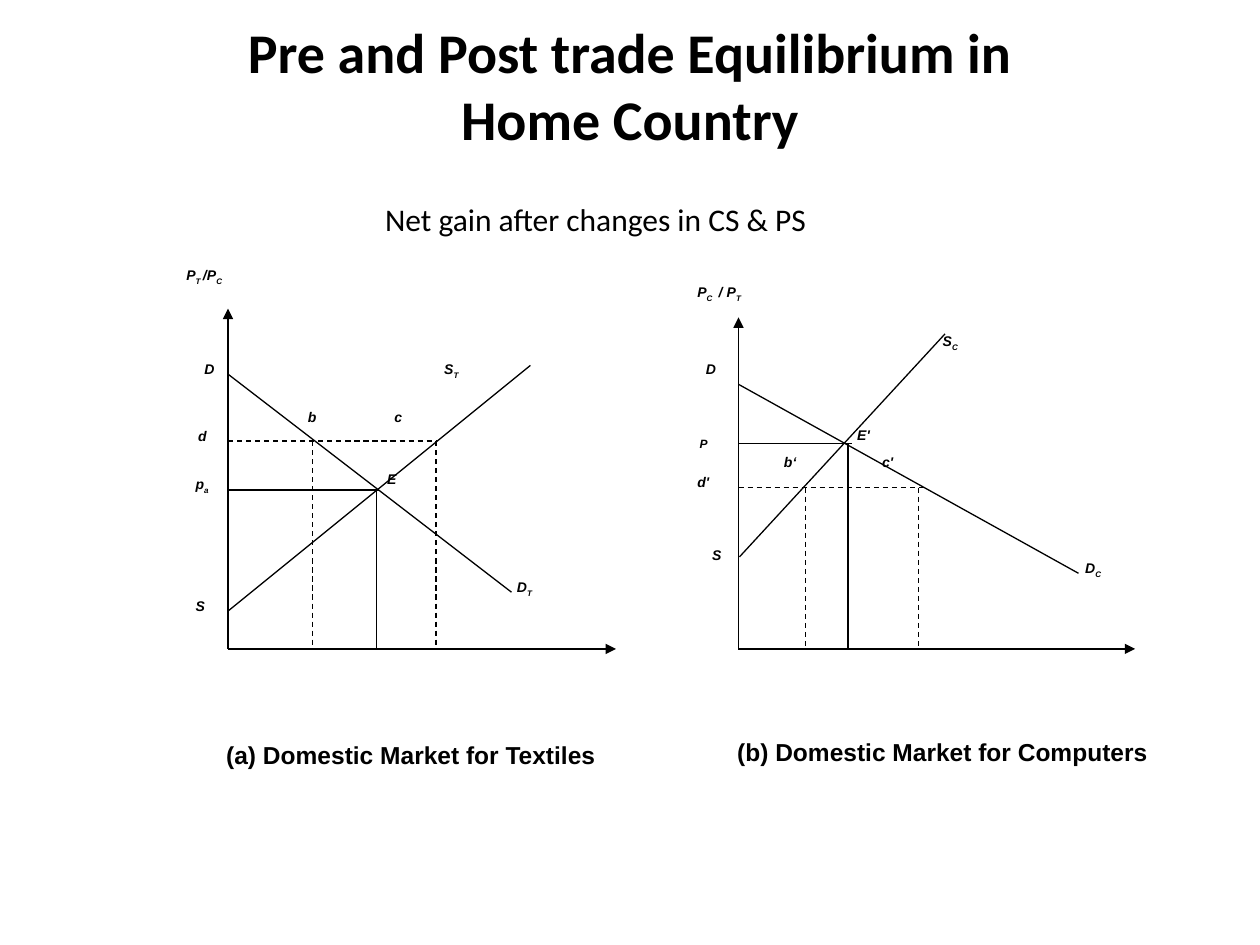
import dataclasses

import pptx
import pptx.dml.color
import pptx.enum.dml
import pptx.enum.shapes
import pptx.enum.text
import pptx.oxml.ns
import pptx.util
from lxml import etree

Pt = pptx.util.Pt


@dataclasses.dataclass(frozen=True)
class Theme:
    ink: pptx.dml.color.RGBColor = pptx.dml.color.RGBColor(0, 0, 0)
    heading_font: str = "Calibri"
    chart_font: str = "Arial"
    title: float = 32
    subtitle: float = 18
    caption: float = 14
    price: float = 12
    label: float = 8
    line: float = 0.75


THEME = Theme()


def add_xml(parent, tag, **attributes):
    return etree.SubElement(parent, pptx.oxml.ns.qn(tag), attributes)


def add_run(paragraph, text, size, font, bold=False, italic=False, subscript=False):
    run = paragraph.add_run()
    run.text = text
    run.font.size = Pt(size)
    run.font.name = font
    run.font.bold = bold
    run.font.italic = italic
    run.font.color.rgb = THEME.ink
    if subscript:
        run._r.get_or_add_rPr().set("baseline", "-30000")


def add_text_box(shapes, box, margins=(4.5, 2.25)):
    text_frame = shapes.add_textbox(*map(Pt, box)).text_frame
    text_frame.word_wrap = True
    text_frame.margin_left = text_frame.margin_right = Pt(margins[0])
    text_frame.margin_top = text_frame.margin_bottom = Pt(margins[1])
    return text_frame.paragraphs[0]


def add_label(shapes, box, parts, size=THEME.label, tab=None):
    """Parts alternate between normal text and subscript."""
    paragraph = add_text_box(shapes, box)
    if tab:
        tabs = add_xml(paragraph._p.get_or_add_pPr(), "a:tabLst")
        add_xml(tabs, "a:tab", pos=str(Pt(tab)), algn="l")
    for index, part in enumerate(parts):
        if part:
            add_run(paragraph, part, size, THEME.chart_font, True, True, index % 2 == 1)


def add_line(shapes, start, end, dashed=False, arrow=False):
    connector = shapes.add_connector(
        pptx.enum.shapes.MSO_CONNECTOR.STRAIGHT, *map(Pt, (*start, *end)))
    connector.line.color.rgb = THEME.ink
    connector.line.width = Pt(THEME.line)
    if dashed:
        connector.line.dash_style = pptx.enum.dml.MSO_LINE.DASH
    if arrow:
        add_xml(connector.line._get_or_add_ln(), "a:tailEnd", type="triangle")
    add_xml(connector._element.spPr, "a:effectLst")


def add_headings(slide, box):
    left, top, width, height = box
    # Title
    title = slide.shapes.title
    title.left, title.top, title.width, title.height = map(Pt, (left, top, width, height))
    title.text_frame.auto_size = pptx.enum.text.MSO_AUTO_SIZE.NONE
    paragraph = title.text_frame.paragraphs[0]
    paragraph.alignment = pptx.enum.text.PP_ALIGN.CENTER
    add_run(paragraph, "Pre and Post trade Equilibrium in Home Country",
            THEME.title, THEME.heading_font, bold=True)
    # Subtitle
    paragraph = add_text_box(
        slide.shapes, (left + 111, top + 105, 391, 29), margins=(7.2, 3.6))
    add_run(paragraph, "Net gain after changes in CS & PS",
            THEME.subtitle, THEME.heading_font)


def add_market(slide, box, market):
    left, top, width, height = box
    shapes = slide.shapes.add_group_shape().shapes

    def at(x, y):
        return left + x, top + y

    # Axes
    origin_x, origin_y = market["origin"]
    add_line(shapes, at(origin_x, origin_y), at(origin_x, market["axis_top"]), arrow=True)
    add_line(shapes, at(origin_x, origin_y), at(width, origin_y), arrow=True)

    # Supply and demand
    for start, end in market["curves"]:
        add_line(shapes, at(*start), at(*end))

    # Price levels and the quantities dropped from them
    for price, reach, quantities, dashed in market["levels"]:
        add_line(shapes, at(origin_x, price), at(reach, price), dashed)
        for quantity in quantities:
            add_line(shapes, at(quantity, price), at(quantity, origin_y), dashed)

    # Labels
    for x, y, label_width, label_height, parts, *options in market["labels"]:
        add_label(shapes, (*at(x, y), label_width, label_height), parts,
                  **(options[0] if options else {}))

    # Caption along the bottom
    paragraph = add_text_box(shapes, (*at(22.75, market["caption_top"]), 247, height - 270))
    add_run(paragraph, market["caption"], THEME.caption, THEME.chart_font, bold=True)


TEXTILES = {
    "caption": "(a) Domestic Market for Textiles",
    "caption_top": 270.5,
    "origin": (28.3, 220.8),
    "axis_top": 26.4,
    "curves": [((28.3, 199.2), (201.1, 58.8)), ((28.3, 63.8), (190.3, 188.4))],
    "levels": [(130, 114.7, [113.3], False), (102, 147.1, [76.6, 147.1], True)],
    "labels": [
        (0, 0, 55, 21, ("P", "T ", "/P", "C")),
        (10.3, 53.8, 209, 34, ("D\tS", "T"), {"tab": 137}),
        (69.4, 81.1, 84, 34, ("b\tc",), {"tab": 49.5}),
        (6.7, 91.9, 19, 21, ("d",)),
        (114.7, 116.4, 20, 21, ("E",)),
        (5.3, 119.3, 29, 22, ("p", "a")),
        (188.9, 178.3, 26, 34, ("D", "T")),
        (5.3, 189.1, 19, 20, ("S",)),
    ],
}

COMPUTERS = {
    "caption": "(b) Domestic Market for Computers",
    "caption_top": 269,
    "origin": (28, 220.8),
    "axis_top": 31.4,
    "curves": [((28, 69.6), (222.3, 177.6)), ((28.6, 168.2), (146, 40.8))],
    "levels": [(103.4, 92.7, [90.6], False), (128.6, 135.9, [66.1, 130.9], True)],
    "labels": [
        (0, 9.8, 55, 21, ("P", "C ", " / P", "T")),
        (140.2, 37.9, 28, 20, ("S", "C")),
        (4.9, 53.8, 22, 21, ("D",)),
        (1.3, 88.3, 23, 33, ("", "P"), {"size": THEME.price}),
        (91.3, 91.2, 23, 34, ("E'",)),
        (49.5, 107, 97, 34, ("b‘\tc'",), {"tab": 56}),
        (0, 118.6, 28, 21, ("d'",)),
        (8.5, 160.3, 19, 21, ("S",)),
        (221.6, 167.5, 34, 20, ("D", "C")),
    ],
}


def main():
    presentation = pptx.Presentation()
    presentation.slide_width, presentation.slide_height = Pt(720), Pt(540)
    title_only = presentation.slide_layouts[5]
    slide = presentation.slides.add_slide(title_only)
    add_headings(slide, (102, 6, 516, 85))
    add_market(slide, (102, 150, 250, 330), TEXTILES)
    add_market(slide, (394, 150, 254.7, 311), COMPUTERS)
    presentation.save("out.pptx")


if __name__ == "__main__":
    main()
